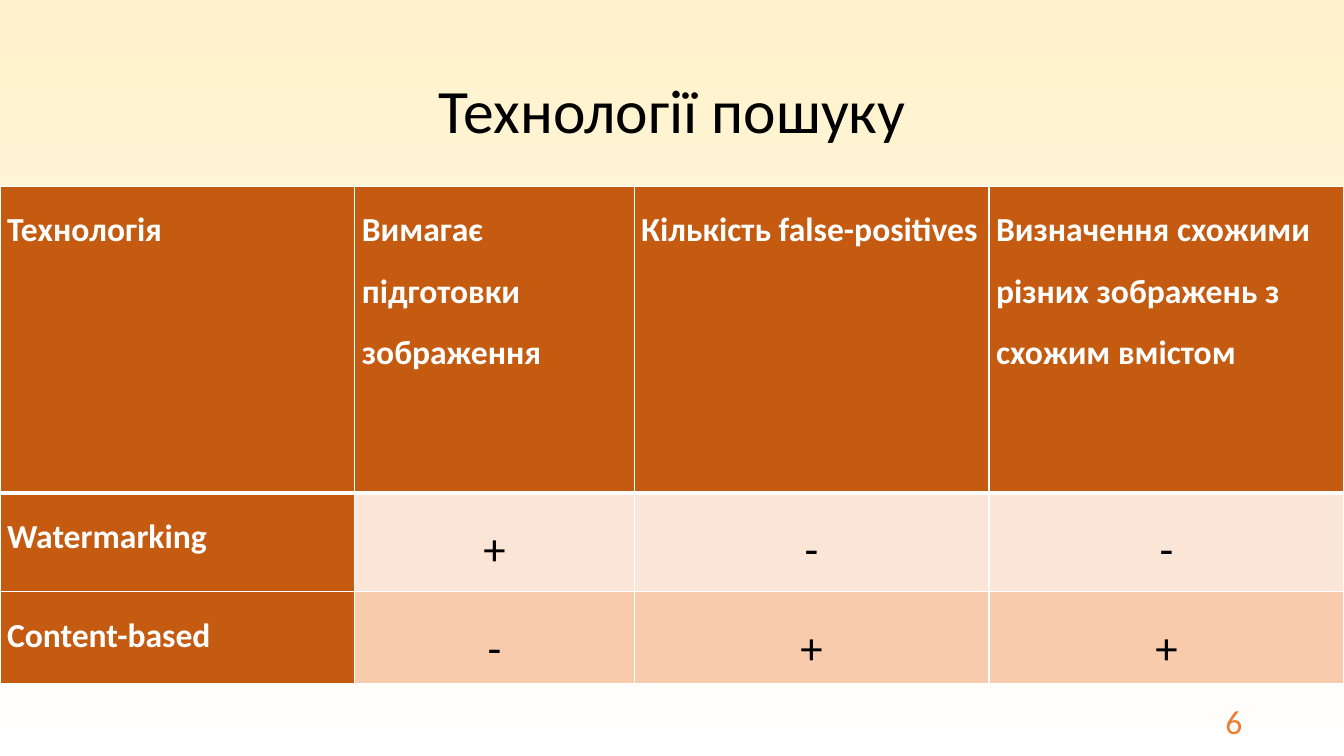
from lxml import etree
from pptx import Presentation
from pptx import util as u
from pptx.dml.color import RGBColor
from pptx.enum import text
from pptx.oxml import ns

COLORS = {
    "cream": "FFF2CC", "white": "FFFFFF", "black": "000000",
    "rust": "C55A11", "pale": "FBE5D6", "peach": "F8CBAD",
    "orange": "ED7D31",
}
ALIGN = text.PP_ALIGN
MIDDLE = text.MSO_ANCHOR.MIDDLE


class Deck:
    font = "Calibri"

    def __init__(self, width, height):
        self.prs = Presentation()
        self.prs.slide_width = u.Inches(width)
        self.prs.slide_height = u.Inches(height)
        self.slide = self.prs.slides.add_slide(self.prs.slide_layouts[6])

    def color(self, name):
        return RGBColor.from_string(COLORS[name])

    def apply(self, item, values):
        for key, value in values.items():
            setattr(item, key, value)

    def backdrop(self, stops):
        fill = self.slide.background.fill
        fill.gradient()
        fill.gradient_angle = 270
        for stop, (place, name) in zip(fill.gradient_stops, stops):
            stop.position = place
            stop.color.rgb = self.color(name)

    def phrase(self, frame, words, size, color, bold=False, **para):
        line = frame.paragraphs[0]
        self.apply(line, para)
        run = line.add_run()
        run.text = words
        self.apply(run.font, {"name": self.font, "size": u.Pt(size), "bold": bold})
        run.font.color.rgb = self.color(color)

    def label(self, box, words, size, color, **para):
        frame = self.slide.shapes.add_textbox(*map(u.Inches, box)).text_frame
        self.apply(frame, {"word_wrap": True, "vertical_anchor": MIDDLE})
        self.phrase(frame, words, size, color, **para)

    def border(self, cell, sides):
        props = cell._tc.get_or_add_tcPr()
        for side, width in sides.items():
            line = etree.SubElement(props, ns.qn("a:ln" + side), w=str(u.Pt(width)))
            fill = etree.SubElement(line, ns.qn("a:solidFill"))
            etree.SubElement(fill, ns.qn("a:srgbClr"), val=COLORS["white"])

    def cell(self, cell, words, fill, sides, **style):
        edge = u.Inches(0.07)
        self.apply(cell, {"margin_left": edge, "margin_right": edge,
                          "margin_top": u.Inches(0.03), "margin_bottom": 0})
        self.border(cell, sides)
        cell.fill.solid()
        cell.fill.fore_color.rgb = self.color(fill)
        self.phrase(cell.text_frame, words, line_spacing=1.5, **style)

    def table(self, box, cols, rows, data, bands):
        grid = self.slide.shapes.add_table(
            len(rows), len(cols), *map(u.Inches, box)).table
        for col, width in zip(grid.columns, cols):
            col.width = u.Inches(width)
        for row, height in zip(grid.rows, rows):
            row.height = u.Inches(height)
        head = {"size": 24, "color": "white", "bold": True}
        mark = {"size": 32, "color": "black", "alignment": ALIGN.CENTER}
        for r, line in enumerate(data):
            sides = {"L": 1, "R": 1, "T": 3 if r == 1 else 1, "B": 3 if r == 0 else 1}
            for c, words in enumerate(line):
                title = r == 0 or c == 0
                fill = "rust" if title else bands[(r - 1) % len(bands)]
                self.cell(grid.cell(r, c), words, fill, sides,
                          **(head if title else mark))


def main():
    deck = Deck(13.33, 7.5)
    deck.backdrop([(0.04, "cream"), (1, "white")])
    deck.label((0.92, 0.4, 11.5, 1.45), "Технології пошуку", 44, "black",
               alignment=ALIGN.CENTER, line_spacing=0.9)
    deck.table(
        (0, 1.85, 13.33, 4.93), [3.52, 2.77, 3.52, 3.52], [3.04, 0.98, 0.91],
        [["Технологія", "Вимагає підготовки зображення",
          "Кількість false-positives",
          "Визначення схожими різних зображень з схожим вмістом"],
         ["Watermarking", "+", "-", "-"],
         ["Content-based", "-", "+", "+"]],
        ["pale", "peach"])
    deck.label((9.42, 6.95, 3, 0.4), "6", 24, "orange", alignment=ALIGN.RIGHT)
    deck.prs.save("out.pptx")


if __name__ == "__main__":
    main()
